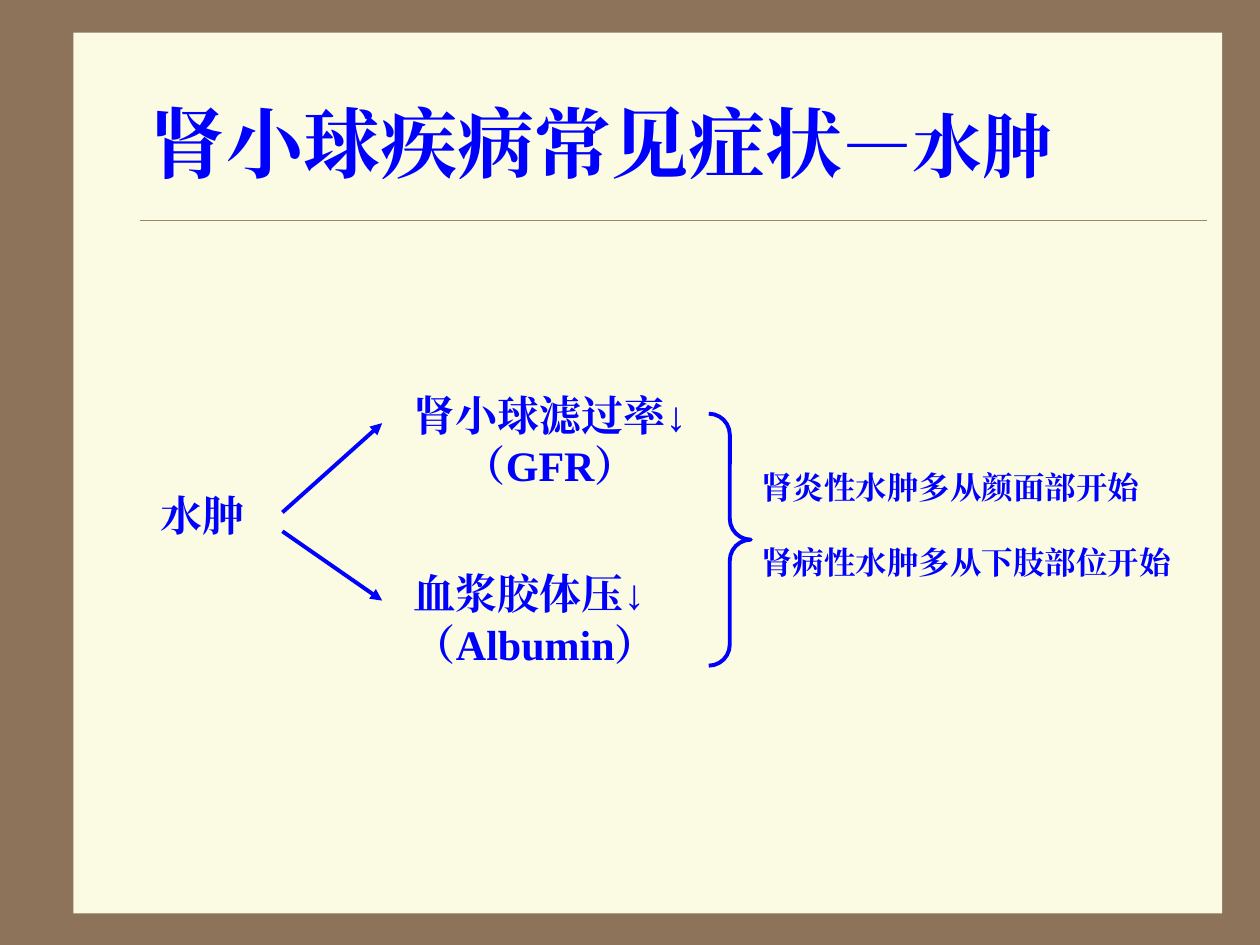
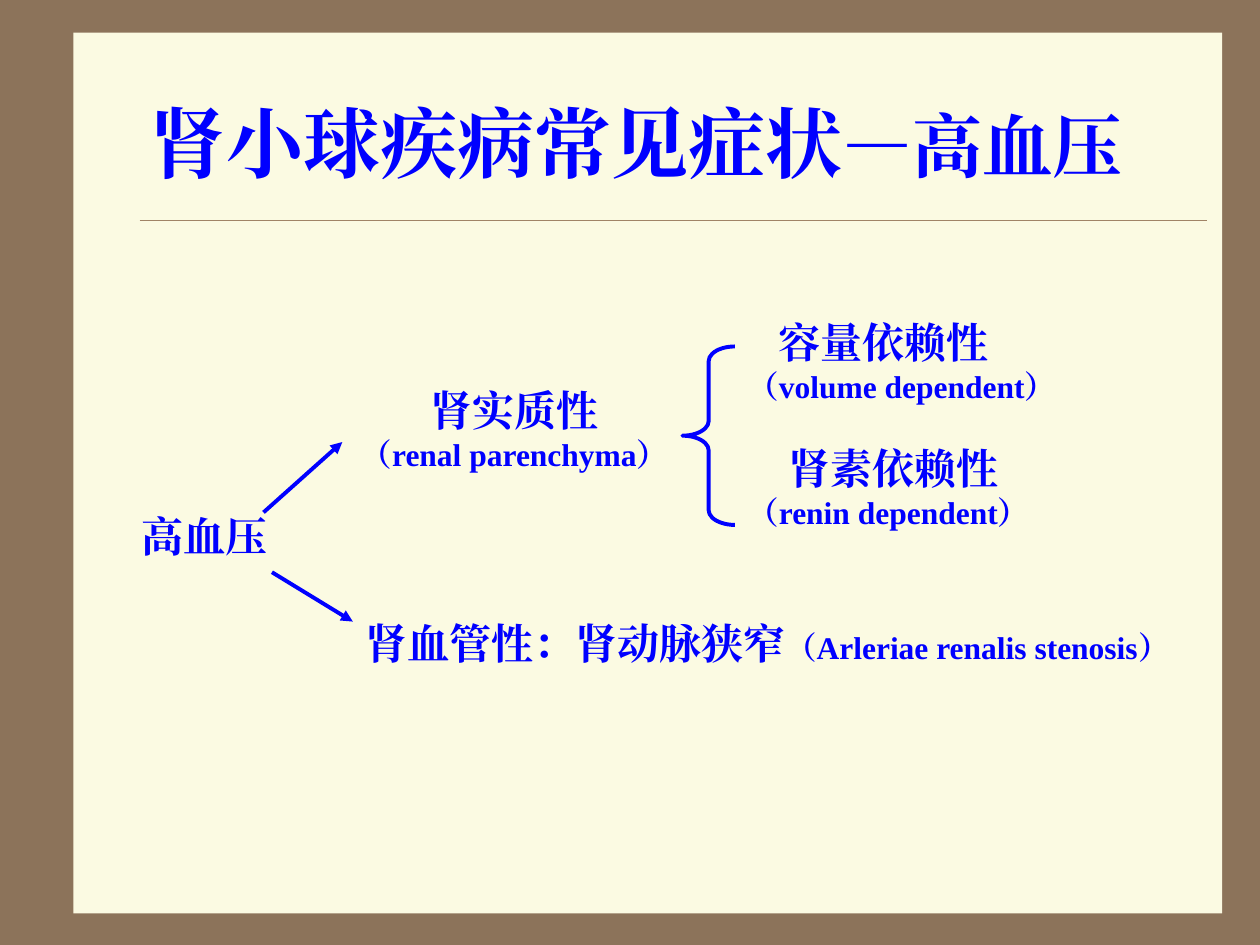
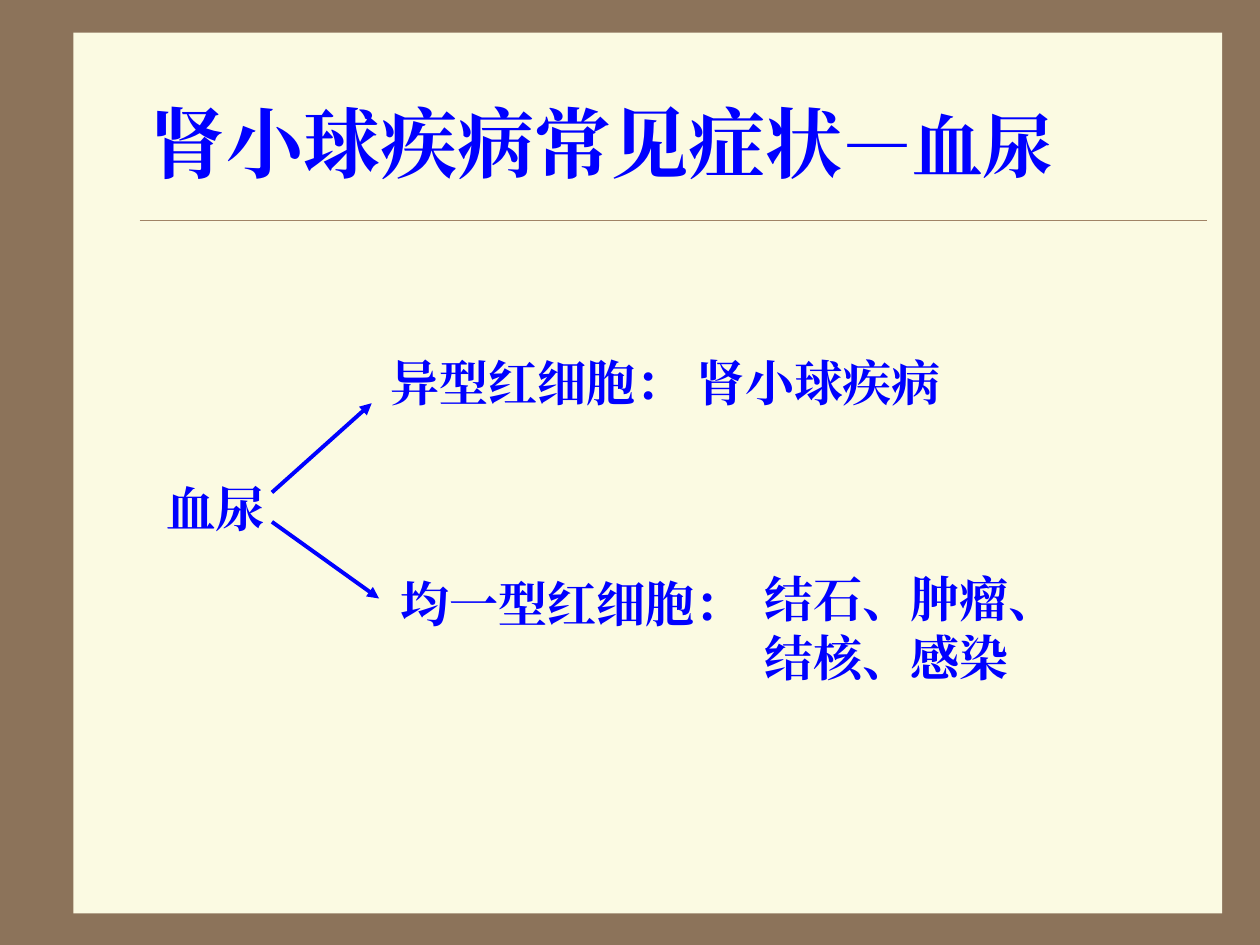
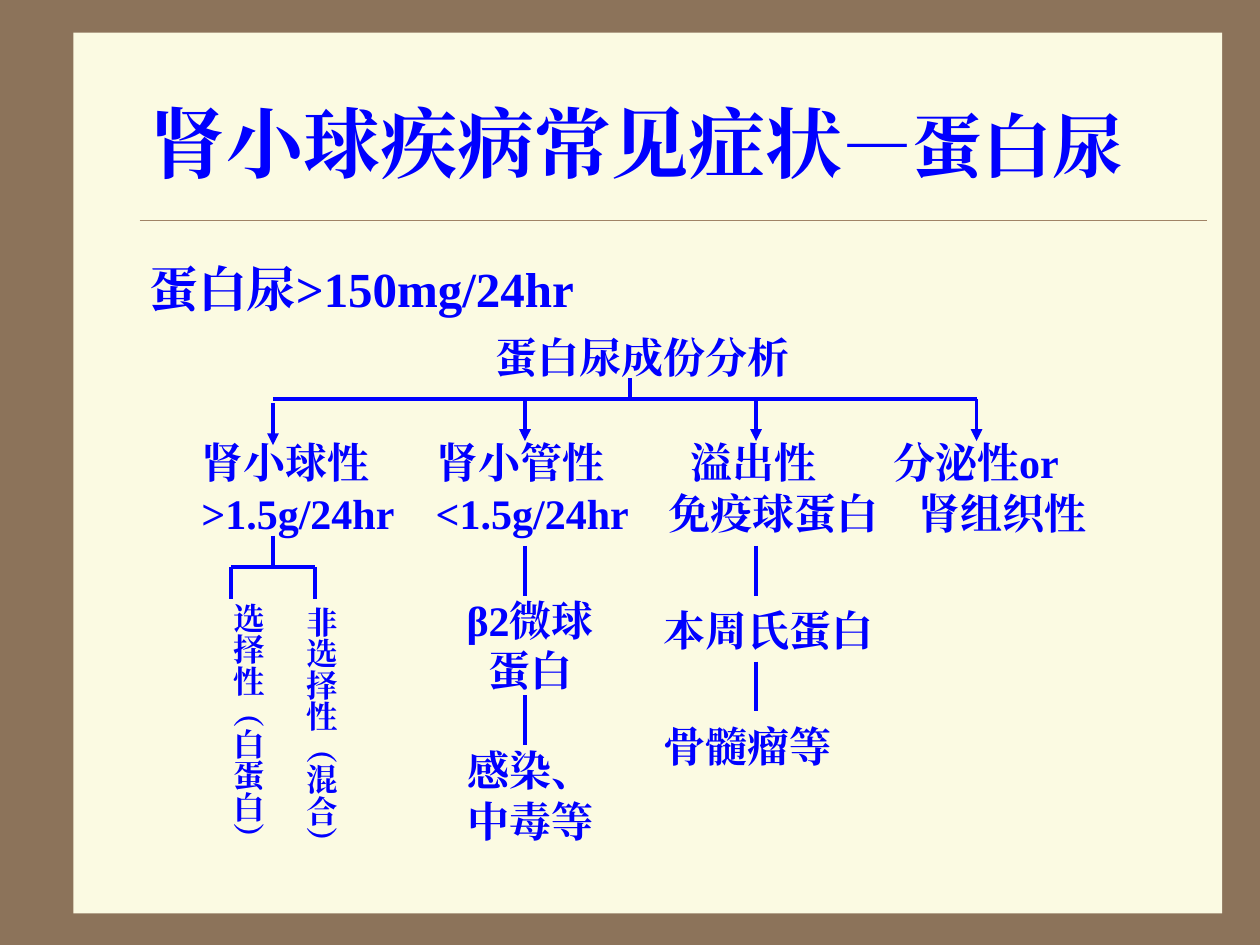
from dataclasses import dataclass

from lxml.etree import SubElement
from pptx import Presentation
from pptx.dml.color import RGBColor
from pptx.enum.shapes import MSO_CONNECTOR, MSO_SHAPE
from pptx.enum.text import MSO_ANCHOR, MSO_AUTO_SIZE, PP_ALIGN
from pptx.oxml.ns import qn
from pptx.util import Inches, Pt

WIDTH, HEIGHT = Inches(10), Inches(7.5)
COLS, ROWS = 120, 90
FRAME, PAPER, RULE, INK = "8C735A", "FBFAE2", "A08366", "0000FF"
SERIF, SANS = "Times New Roman", "Noto Sans CJK SC"
TITLE_BOX = (13, 6, 102, 15)
BODY_BOX = (13, 24, 102, 54)
DIAGRAM = (12, 24)
TITLE_ONLY, TITLE_AND_BODY = 5, 1


@dataclass
class Para:
    runs: list
    indent: float = 0
    before: float = 0
    tabs: tuple = ()


@dataclass
class Area:
    """A part of the slide whose contents are placed from its top left cell."""
    slide: object
    left: float = 0
    top: float = 0

    def at(self, col, row):
        return grid(self.left + col, self.top + row)

    def box(self, col, row, cols, rows):
        return *self.at(col, row), *grid(cols, rows)


def grid(col, row):
    return round(WIDTH * col / COLS), round(HEIGHT * row / ROWS)


def rgb(value):
    return RGBColor.from_string(value)


def set_all(obj, values):
    for name, value in values.items():
        setattr(obj, name, value)


def place(sp, box):
    set_all(sp, dict(zip(("left", "top", "width", "height"), box)))


def add_run(p, text, size, font=SERIF):
    r = p.add_run()
    r.text = text
    set_all(r.font, {"size": Pt(size), "bold": True, "name": font})
    r.font.color.rgb = rgb(INK)
    SubElement(r.font._element, qn("a:ea"), typeface=font)


def format_para(p, para, align):
    pPr = p._p.get_or_add_pPr()
    if para.indent:
        pPr.set("marL", str(Inches(para.indent)))
    if para.tabs:
        tabs = SubElement(pPr, qn("a:tabLst"))
        for pos in para.tabs:
            SubElement(tabs, qn("a:tab"), pos=str(Inches(pos)), algn="l")
    set_all(p, {"alignment": align, "space_before": Pt(para.before)})


def add_text(area, box, paras, size=24, align=PP_ALIGN.LEFT, wrap=True, vertical=False):
    """Add a text box; a plain string stands for a paragraph of one run."""
    tf = area.slide.shapes.add_textbox(*area.box(*box)).text_frame
    fit = MSO_AUTO_SIZE.NONE if vertical else MSO_AUTO_SIZE.SHAPE_TO_FIT_TEXT
    set_all(tf, {"word_wrap": wrap, "auto_size": fit})
    if vertical:
        tf._txBody.bodyPr.set("vert", "eaVert")
    for i, para in enumerate(paras):
        if isinstance(para, str):
            para = Para([(para, size)])
        p = tf.add_paragraph() if i else tf.paragraphs[0]
        format_para(p, para, align)
        for text, points in para.runs:
            add_run(p, text, points)


def add_line(area, start, end, arrow=False, color=INK, width=2.25):
    line = area.slide.shapes.add_connector(
        MSO_CONNECTOR.STRAIGHT, *area.at(*start), *area.at(*end))
    line.line.color.rgb = rgb(color)
    line.line.width = Pt(width)
    if arrow:
        SubElement(line.line._get_or_add_ln(), qn("a:tailEnd"), type="triangle")
    SubElement(line.element.spPr, qn("a:effectLst"))
    return line


def add_brace(area, kind, box, curve):
    sp = area.slide.shapes.add_shape(kind, *area.box(*box))
    sp.shadow.inherit = False
    sp.fill.background()
    sp.line.color.rgb = rgb(INK)
    sp.line.width = Pt(2.25)
    sp.adjustments[0], sp.adjustments[1] = curve, 0.5


def add_fork(area, root, box, size, arrows):
    """Add the root term and the arrows that lead from it to its branches."""
    add_text(area, box, [root], size, PP_ALIGN.CENTER)
    for start, end in arrows:
        add_line(area, start, end, arrow=True)


def style_master(prs, slide):
    """Set the frame and title area, moving the panel and rule to the master."""
    master = prs.slide_master
    fill = master.background.fill
    fill.solid()
    fill.fore_color.rgb = rgb(FRAME)
    area = Area(slide)
    place(master.placeholders[0], area.box(*TITLE_BOX))
    place(master.placeholders[1], area.box(*BODY_BOX))
    panel = slide.shapes.add_shape(MSO_SHAPE.RECTANGLE, *area.box(7, 3.12, 109.4, 83.88))
    panel.shadow.inherit = False
    panel.fill.solid()
    panel.fill.fore_color.rgb = rgb(PAPER)
    panel.line.fill.background()
    rule = add_line(area, (13.3, 21), (115, 21), color=RULE, width=0.25)
    for i, sp in enumerate((panel, rule)):
        sp.element.xpath(".//p:cNvPr")[0].set("id", str(101 + i))
        master.shapes.element.insert(2 + i, sp.element)


def add_slide(prs, topic, layout=TITLE_ONLY):
    slide = prs.slides.add_slide(prs.slide_layouts[layout])
    tf = slide.shapes.title.text_frame
    set_all(tf, {"auto_size": MSO_AUTO_SIZE.NONE, "vertical_anchor": MSO_ANCHOR.MIDDLE})
    p = tf.paragraphs[0]
    p.alignment = PP_ALIGN.LEFT
    add_run(p, "肾小球疾病常见症状", 44)
    add_run(p, "—", 40, SANS)
    add_run(p, topic, 40)
    return slide


def draw_edema(area):
    add_fork(area, "水肿", (-0.2, 22, 15, 6), 24,
             [((14.9, 26.6), (24.4, 33.2)), ((14.9, 24.8), (24.4, 16.3))])
    add_text(area, (24.4, 12.5, 32, 10.8), ["肾小球滤过率↓（GFR）"], align=PP_ALIGN.CENTER)
    add_text(area, (26.25, 29.5, 29.3, 10.8), ["血浆胶体压↓ （Albumin）"])
    add_brace(area, MSO_SHAPE.RIGHT_BRACE, (55.5, 15.4, 4, 24), 0.5)
    add_text(area, (59.3, 20, 42, 12), [
        "肾炎性水肿多从颜面部开始",
        Para([("肾病性水肿多从下肢部位开始", 18)], before=21)], 18)


def draw_hypertension(area):
    add_fork(area, "高血压", (0, 24, 15, 6), 24,
             [((13.9, 30.5), (21.6, 35.2)), ((13.1, 24.8), (20.6, 18.1))])
    add_text(area, (21, 12, 32, 9.6),
             ["肾实质性", Para([("（renal parenchyma）", 18)])], align=PP_ALIGN.CENTER)
    add_text(area, (21.6, 34.2, 79.3, 6), [
        Para([("肾血管性：肾动脉狭窄", 24), ("（Arleriae renalis stenosis）", 18)])])
    add_brace(area, MSO_SHAPE.LEFT_BRACE, (53, 9, 5, 17), 0.28)
    add_text(area, (58, 5.6, 43, 21.6), [
        Para([("容量依赖性", 24)], indent=0.25),
        Para([("（volume dependent）", 18)]),
        Para([("肾素依赖性", 24)], indent=0.33, before=21.5),
        Para([("（renin dependent）", 18)])])


def draw_hematuria(area):
    add_fork(area, "血尿", (1, 21, 15, 6.8), 28,
             [((13.9, 25.7), (24.1, 33)), ((13.9, 22.9), (23.4, 14.4))])
    add_text(area, (24, 9, 63, 6.8), ["异型红细胞： 肾小球疾病"], 28)
    add_text(area, (25, 30, 35.3, 6.8), ["均一型红细胞："], 28)
    add_text(area, (59.6, 29.6, 30.4, 12.4), ["结石、肿瘤、", "结核、感染"], 28, wrap=False)


def fill_body(slide, text):
    p = slide.placeholders[1].text_frame.paragraphs[0]
    pPr = p._p.get_or_add_pPr()
    set_all(p, {"alignment": PP_ALIGN.LEFT, "space_before": Pt(0)})
    for name, inches in {"marL": 0.38, "indent": -0.38}.items():
        pPr.set(name, str(Inches(inches)))
    SubElement(pPr, qn("a:buNone"))
    add_run(p, text, 28)


def draw_proteinuria(area):
    add_text(area, (34, 7, 38.5, 6), ["蛋白尿成份分析"])
    add_text(area, (6, 17, 90.2, 10.8), [
        Para([("肾小球性\t肾小管性\t溢出性\t分泌性or", 24)], tabs=(1.87, 3.88, 5.49)),
        Para([(">1.5g/24hr\t<1.5g/24hr\t免疫球蛋白\t肾组织性", 24)], tabs=(1.86, 3.71, 5.69))])
    for text, box in (("选择性（白蛋白）", (8, 32.2, 6, 27.4)),
                      ("非选择性（混合）", (15.8, 32.6, 5.2, 27.4))):
        add_text(area, box, [text], 18, PP_ALIGN.JUSTIFY, vertical=True)
    add_text(area, (30, 32, 17, 25.2), [
        "β2微球蛋白", Para([("感染、中毒等", 24)], before=28.5)], align=PP_ALIGN.CENTER)
    add_text(area, (50, 33, 22.7, 6), ["本周氏蛋白"], wrap=False)
    add_text(area, (50, 44, 18.6, 6), ["骨髓瘤等"], wrap=False)
    draw_tree(area)


def draw_tree(area):
    glomerular, tubular, overflow, secreted = 14, 38, 60, 81
    selective, unselective = glomerular - 4, glomerular + 4
    for left, right, row in ((glomerular, secreted, 14), (selective, unselective, 30)):
        add_line(area, (left, row), (right, row))
    for col, top in ((glomerular, 14.4), (tubular, 14), (overflow, 14), (secreted, 14)):
        add_line(area, (col, top), (col, top + 4), arrow=True)
    for col, top, bottom in (
            (48, 12, 14), (glomerular, 27, 30), (selective, 30, 33), (unselective, 30, 33),
            (tubular, 28, 32.8), (tubular, 42.2, 47),
            (overflow, 28, 32.8), (overflow, 39, 43.7)):
        add_line(area, (col, top), (col, bottom))


def main():
    prs = Presentation()
    set_all(prs, {"slide_width": WIDTH, "slide_height": HEIGHT})
    for topic, draw in (("水肿", draw_edema), ("高血压", draw_hypertension),
                        ("血尿", draw_hematuria)):
        draw(Area(add_slide(prs, topic), *DIAGRAM))
    slide = add_slide(prs, "蛋白尿", TITLE_AND_BODY)
    fill_body(slide, "蛋白尿>150mg/24hr")
    draw_proteinuria(Area(slide, *DIAGRAM))
    style_master(prs, slide)
    prs.save("out.pptx")


if __name__ == "__main__":
    main()
